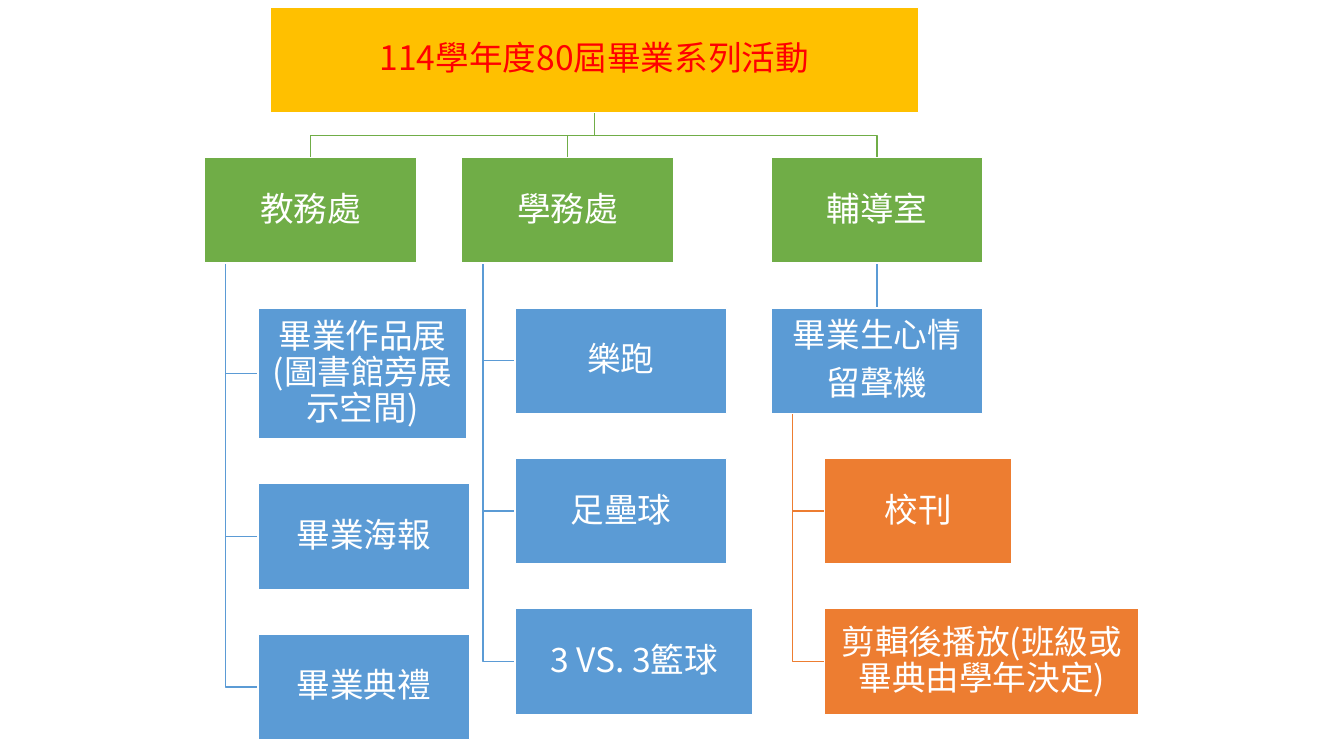
from dataclasses import dataclass

import lxml.etree
import pptx
import pptx.dml.color
import pptx.enum.shapes
import pptx.enum.text
import pptx.oxml.ns
import pptx.util

Pt = pptx.util.Pt


@dataclass(frozen=True)
class Theme:
    font: str = "Noto Sans CJK SC"
    size: float = 24
    white: str = "FFFFFF"
    red: str = "FF0000"
    gold: str = "FFC000"
    green: str = "70AD47"
    blue: str = "5B9BD5"
    orange: str = "ED7D31"


THEME = Theme()
WIDTH, HEIGHT, GAP = 151.2, 75.4, 32
INDENT, TRUNK = 38.2, 15.1

DEPARTMENTS = [
    (146.2, "教務處", [
        ("畢業作品展(圖書館旁展示空間)", 149, 93.6),
        ("畢業海報", WIDTH, HEIGHT),
        ("畢業典禮", WIDTH, HEIGHT),
    ]),
    (329.8, "學務處", [
        ("樂跑", WIDTH, HEIGHT),
        ("足壘球", WIDTH, HEIGHT),
        ("3 VS. 3籃球", 170, HEIGHT),
    ]),
]
COUNSELING_LEFT = 550.8
COUNSELING_TASKS = [
    ("校刊", 133.9, HEIGHT),
    ("剪輯後播放(班級或畢典由學年決定)", 224.6, HEIGHT),
]


def rgb(color):
    return pptx.dml.color.RGBColor.from_string(color)


def write_text(frame, text, *, color=THEME.white, size=THEME.size, font=THEME.font):
    frame.word_wrap = True
    frame.vertical_anchor = pptx.enum.text.MSO_ANCHOR.MIDDLE
    frame.margin_left = frame.margin_right = Pt(1.2)
    frame.margin_top = frame.margin_bottom = Pt(1.2)
    for index, line in enumerate(text.split("\n")):
        para = frame.paragraphs[0] if index == 0 else frame.add_paragraph()
        para.alignment = pptx.enum.text.PP_ALIGN.CENTER
        para.line_spacing = 0.9
        para.space_after = Pt(0.35 * size)
        span = para.add_run()
        span.text = line
        span.font.size = Pt(size)
        span.font.color.rgb = rgb(color)
        span.font.name = font
        east_asian = lxml.etree.SubElement(span.font._element, pptx.oxml.ns.qn("a:ea"))
        east_asian.set("typeface", font)


def add_box(page, text, left, top, width, height, fill, **text_format):
    box = page.shapes.add_shape(
        pptx.enum.shapes.MSO_SHAPE.RECTANGLE, Pt(left), Pt(top), Pt(width), Pt(height)
    )
    box.shadow.inherit = False
    box.fill.solid()
    box.fill.fore_color.rgb = rgb(fill)
    box.line.color.rgb = rgb(THEME.white)
    box.line.width = Pt(1)
    write_text(box.text_frame, text, **text_format)
    return box


def style_line(page, line, color):
    line.line.color.rgb = rgb(color)
    line.line.width = Pt(1)
    page.shapes._spTree.insert(2, line._element)


def add_elbow(page, points, color):
    builder = page.shapes.build_freeform(*points[0])
    builder.add_line_segments(points[1:], close=False)
    elbow = builder.convert_to_shape()
    elbow.shadow.inherit = False
    elbow.fill.background()
    style_line(page, elbow, color)


def middle(box):
    return box.left + box.width // 2


def join_across(page, parent, child, color):
    bottom = parent.top + parent.height
    halfway = (bottom + child.top) // 2
    add_elbow(page, [
        (middle(parent), bottom), (middle(parent), halfway),
        (middle(child), halfway), (middle(child), child.top),
    ], color)


def join_down(page, parent, child, color):
    line = page.shapes.add_connector(pptx.enum.shapes.MSO_CONNECTOR.STRAIGHT, 0, 0, 0, 0)
    line.begin_connect(parent, 2)
    line.end_connect(child, 0)
    lxml.etree.SubElement(line._element.spPr, pptx.oxml.ns.qn("a:effectLst"))
    style_line(page, line, color)


def add_hanging_list(page, parent, tasks, color):
    trunk = parent.left + Pt(TRUNK)
    bottom = parent.top + parent.height
    left = parent.left.pt + INDENT
    top = bottom / Pt(1) + GAP
    for text, width, height in tasks:
        box = add_box(page, text, left, top, width, height, color)
        center = box.top + box.height // 2
        add_elbow(page, [(trunk, bottom), (trunk, center), (box.left, center)], color)
        top += height + GAP


def add_department(page, title, name, left):
    top = title.top.pt + HEIGHT + GAP
    box = add_box(page, name, left, top, WIDTH, HEIGHT, THEME.green)
    join_across(page, title, box, THEME.green)
    return box


def add_counseling(page, title, left):
    office = add_department(page, title, "輔導室", left)
    top = office.top.pt + HEIGHT + GAP
    recorder = add_box(page, "畢業生心情\n留聲機", left, top, WIDTH, HEIGHT, THEME.blue)
    join_down(page, office, recorder, THEME.blue)
    add_hanging_list(page, recorder, COUNSELING_TASKS, THEME.orange)


def build_chart_slide(deck):
    page = deck.slides.add_slide(deck.slide_layouts[6])
    title = add_box(page, "114學年度80屆畢業系列活動", 193, 5.2, 463, HEIGHT,
                    THEME.gold, color=THEME.red)
    for left, name, tasks in DEPARTMENTS:
        department = add_department(page, title, name, left)
        add_hanging_list(page, department, tasks, THEME.blue)
    add_counseling(page, title, COUNSELING_LEFT)


def main():
    deck = pptx.Presentation()
    deck.slide_width, deck.slide_height = Pt(960), Pt(540)
    build_chart_slide(deck)
    deck.save("out.pptx")


if __name__ == "__main__":
    main()
